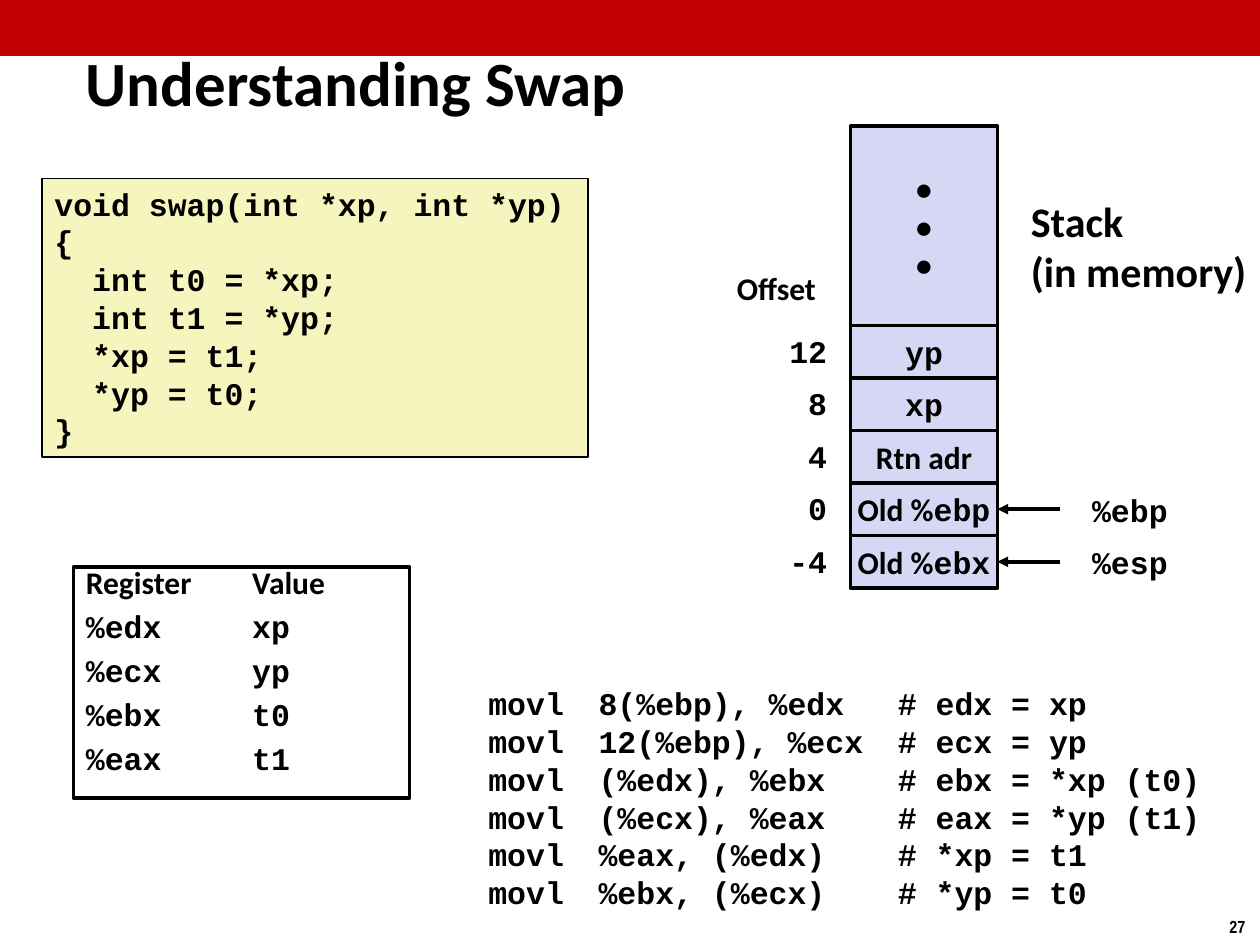
from pptx import Presentation
from pptx.dml.color import RGBColor
from pptx.enum.shapes import MSO_CONNECTOR as CONNECTOR, MSO_SHAPE as SHAPE
from pptx.enum.text import MSO_ANCHOR as ANCHOR, MSO_AUTO_SIZE as AUTO_SIZE, PP_ALIGN as ALIGN
from pptx.oxml.ns import qn
from pptx.util import Pt
from lxml.etree import SubElement

COLORS = {"black": "000000", "banner": "C00000", "code": "F6F5BD", "stack": "D6D6F5"}
BODY, MONO = "Calibri", "Courier New"


def color(name):
    return RGBColor.from_string(COLORS[name])


def write(shape, lines, font=BODY, size=18, align=ALIGN.LEFT, tabs=(),
          anchor=ANCHOR.TOP, wrap=True):
    """Fill a shape; a line is a string or a list of (text, font) runs."""
    frame = shape.text_frame
    frame.word_wrap = wrap
    frame.vertical_anchor = anchor
    for index, line in enumerate(lines):
        para = frame.paragraphs[0] if index == 0 else frame.add_paragraph()
        para.alignment = align
        for text, face in [(line, font)] if isinstance(line, str) else line:
            span = para.add_run()
            span.text = text
            span.font.name, span.font.size, span.font.bold = face, Pt(size), True
            span.font.color.rgb = color("black")
        if tabs:
            stops = SubElement(para._p.get_or_add_pPr(), qn("a:tabLst"))
            for stop in tabs:
                SubElement(stops, qn("a:tab"), pos=str(Pt(stop)), algn="l")
    return frame


def add_label(page, box, lines, **style):
    """Text box that fits its unwrapped lines."""
    label = page.shapes.add_textbox(*map(Pt, box))
    write(label, lines, wrap=False, **style).auto_size = AUTO_SIZE.SHAPE_TO_FIT_TEXT


def add_box(page, box, fill=None, line=None):
    shape = page.shapes.add_shape(SHAPE.RECTANGLE, *map(Pt, box))
    shape.shadow.inherit = False
    if fill:
        shape.fill.solid()
        shape.fill.fore_color.rgb = color(fill)
    else:
        shape.fill.background()
    if line:
        shape.line.color.rgb = color("black")
        shape.line.width = Pt(line)
    else:
        shape.line.fill.background()
    return shape


def add_arrow(page, start_x, y, target):
    """Arrow from the right into the right side of the target."""
    arrow = page.shapes.add_connector(CONNECTOR.STRAIGHT, Pt(start_x), Pt(y),
                                      target.left + target.width, Pt(y))
    arrow.end_connect(target, 3)
    arrow.line.color.rgb = color("black")
    arrow.line.width = Pt(2)
    SubElement(arrow.line._get_or_add_ln(), qn("a:tailEnd"), type="triangle")
    SubElement(arrow._element.spPr, qn("a:effectLst"))


def add_heading(page, box):
    left, top, width, height = box
    add_box(page, (left, top, width, 32), fill="banner")
    title = page.shapes.add_textbox(*map(Pt, (left + 42, top + 24, 502, 45)))
    write(title, ["Understanding Swap"], size=36, anchor=ANCHOR.MIDDLE)
    add_label(page, (left + width - 24.5, top + height - 20, 24.5, 19.5), ["27"],
              font="Arial Narrow", size=10)


def add_source_code(page, box):
    write(add_box(page, box, fill="code", line=1),
          ["void swap(int *xp, int *yp)", "{", "  int t0 = *xp;", "  int t1 = *yp;",
           "  *xp = t1;", "  *yp = t0;", "}"], font=MONO)


def add_registers(page, box):
    rows = [("%edx", "xp"), ("%ecx", "yp"), ("%ebx", "t0"), ("%eax", "t1")]
    lines = [[("Register\tValue", BODY)]] + [f"{name}\t{value}" for name, value in rows]
    frame = write(add_box(page, box, line=2), lines, font=MONO, tabs=[95])
    for index, para in enumerate(frame.paragraphs):
        para.line_spacing = 0.7
        para.space_before = Pt(10 if index else 0)


def add_stack(page, box):
    left, top, width, height = box
    cell_height = 30
    cells = [
        (12, [("yp", MONO)], None),
        (8, [("xp", MONO)], None),
        (4, [("Rtn adr", BODY)], None),
        (0, [("Old %", BODY), ("ebp", MONO)], "%ebp"),
        (-4, [("Old %", BODY), ("ebx", MONO)], "%esp"),
    ]
    cells_top = top + height - cell_height * len(cells)
    centred = {"align": ALIGN.CENTER, "anchor": ANCHOR.MIDDLE, "wrap": False}

    # Older frames and headings
    older = add_box(page, (left, top, width, cells_top - top), fill="stack", line=2)
    write(older, ["•"] * 3, **centred)
    add_label(page, (left + width + 12, top + 36, 139, 65.5), ["Stack", "(in memory)"], size=24)
    add_label(page, (left - 72, cells_top - 36, 60.5, 29), ["Offset"])

    # Cells with offsets and register pointers
    for index, (offset, content, pointer) in enumerate(cells):
        y = cells_top + index * cell_height
        cell = add_box(page, (left, y, width, cell_height), fill="stack", line=2)
        write(cell, [content], **centred)
        add_label(page, (left - 42, y, 47, 29), [f"{offset:>2}"], font=MONO)
        if pointer:
            add_arrow(page, left + width + 36, y + cell_height / 2, cell)
            add_label(page, (left + width + 47, y + 1, 58, 29), [pointer], font=MONO)


def add_assembly(page, box):
    steps = [
        ("8(%ebp), %edx", "edx = xp"),
        ("12(%ebp), %ecx", "ecx = yp"),
        ("(%edx), %ebx", "ebx = *xp (t0)"),
        ("(%ecx), %eax", "eax = *yp (t1)"),
        ("%eax, (%edx)", "*xp = t1"),
        ("%ebx, (%ecx)", "*yp = t0"),
    ]
    listing = page.shapes.add_textbox(*map(Pt, box))
    write(listing, [f"\tmovl\t{operands}\t# {note}" for operands, note in steps],
          font=MONO, tabs=[31.5, 94.5, 265.5])


def main():
    deck = Presentation()
    deck.slide_width, deck.slide_height = Pt(720), Pt(540)
    page = deck.slides.add_slide(deck.slide_layouts[6])
    add_heading(page, (0, 0, 720, 540))
    add_source_code(page, (24, 102, 312, 159))
    add_registers(page, (42, 324, 192, 132))
    add_stack(page, (486, 72, 84, 264))
    add_assembly(page, (240.5, 387.5, 468, 138))
    deck.save("out.pptx")


if __name__ == "__main__":
    main()
